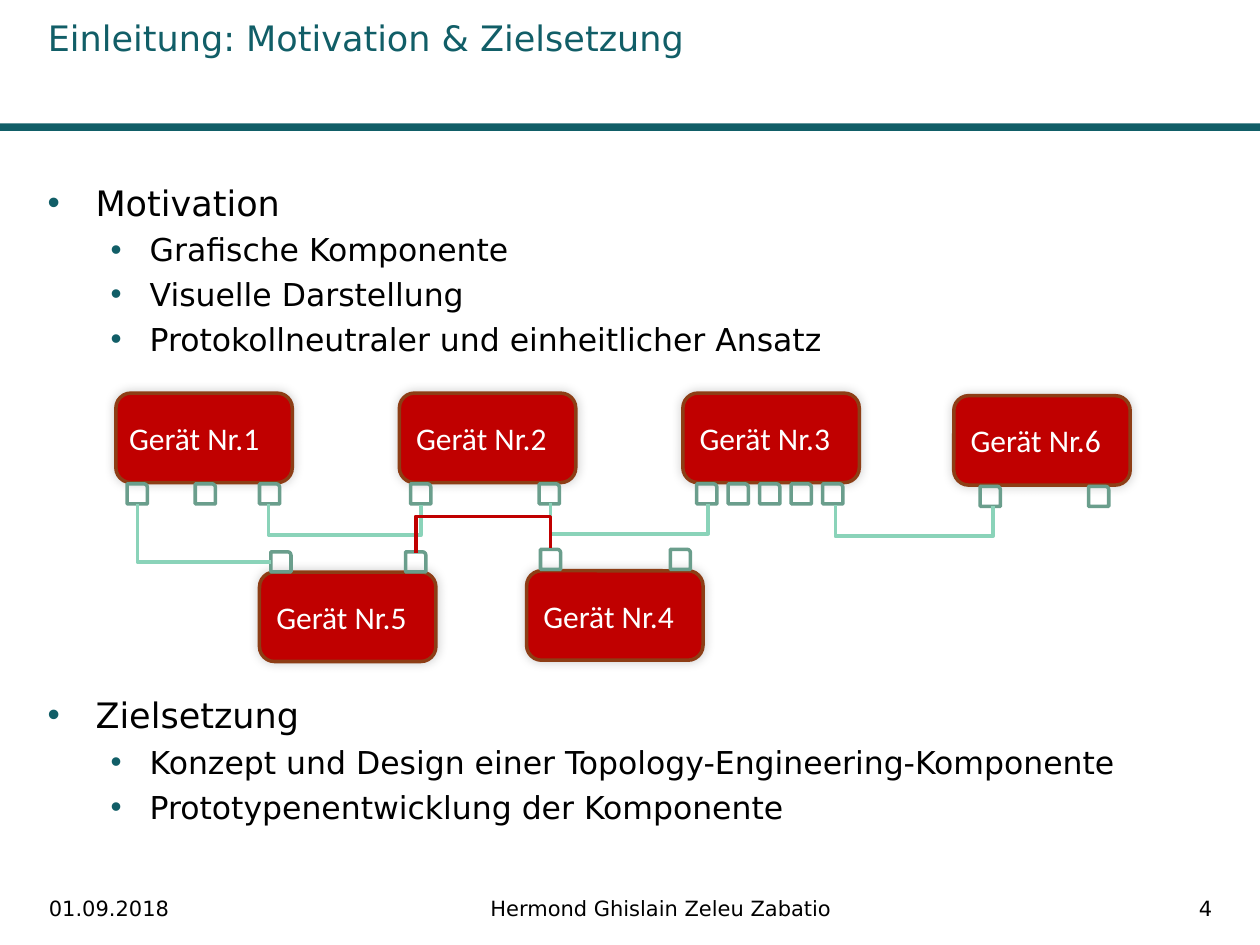
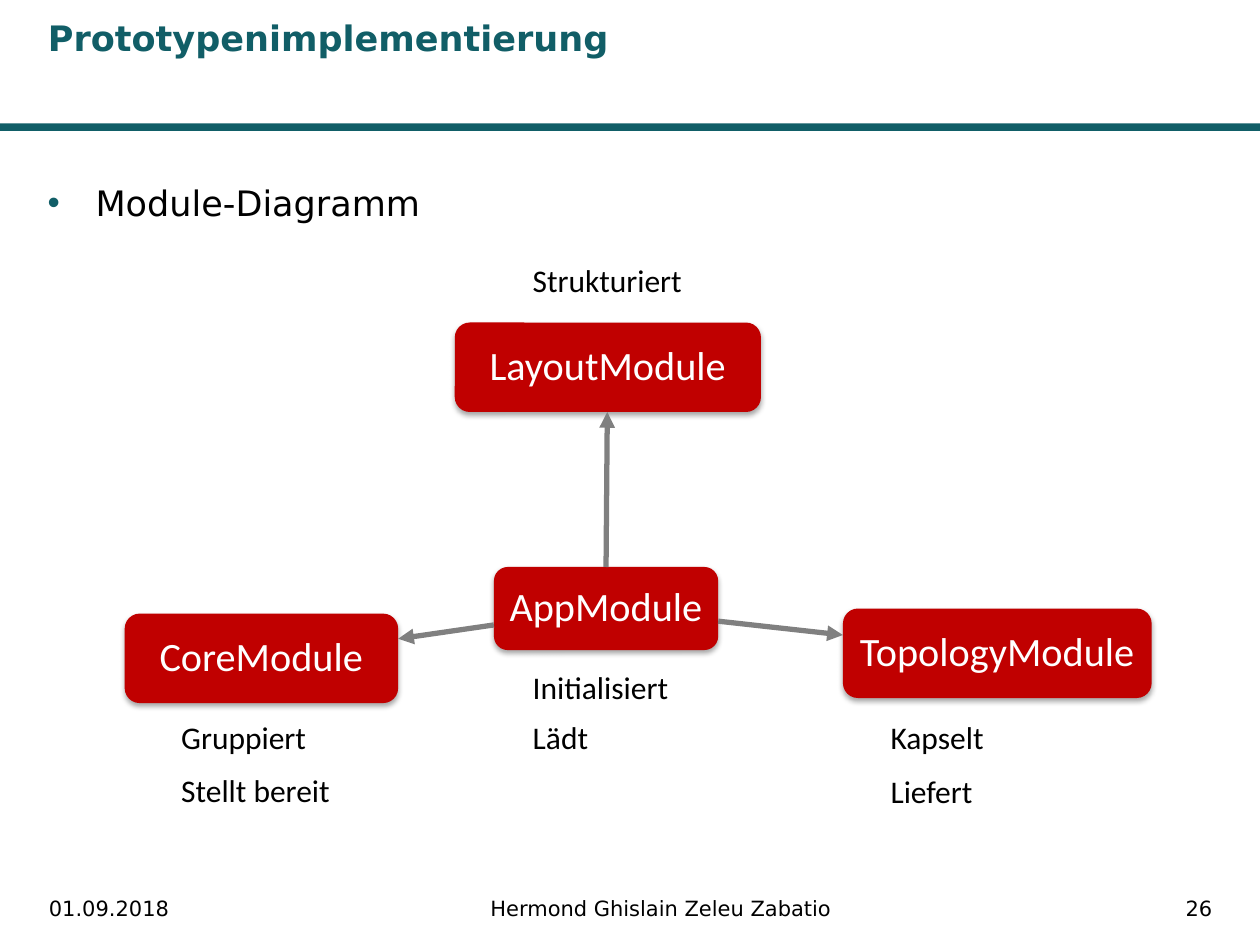
import pptx
import pptx.util
import pptx.dml.color
import pptx.enum.shapes
import pptx.enum.text
import pptx.oxml
import pptx.oxml.ns

Inches, Pt = pptx.util.Inches, pptx.util.Pt
SHAPE = pptx.enum.shapes.MSO_SHAPE
CONN = pptx.enum.shapes.MSO_CONNECTOR
ALIGN = pptx.enum.text.PP_ALIGN
ANCHOR = pptx.enum.text.MSO_ANCHOR
qn = pptx.oxml.ns.qn

# ---- Content and shared style ----
W, H = 10, 7.5
C = {"teal": "115E67", "red": "C00000", "brown": "8D3D15", "port": "6A9E8C",
     "mint": "8AD3B9", "gray": "808080", "black": "000000", "white": "FFFFFF"}
HEAD, BODY = "DejaVu Sans", "Calibri"
DATE, AUTHOR = "01.09.2018", "Hermond Ghislain Zeleu Zabatio"

# Bullets: level, text, space before in points
LEVELS = [dict(size=20, left=0.38, hang=0.38), dict(size=18, left=0.81, hang=0.31)]
GOALS = [
    (0, "Motivation", 4),
    (1, "Grafische Komponente", 4),
    (1, "Visuelle Darstellung", 4),
    (1, "Protokollneutraler und einheitlicher Ansatz", 4),
    (0, "Zielsetzung", 192),  # leaves room for the device diagram
    (1, "Konzept und Design einer Topology-Engineering-Komponente", 4),
    (1, "Prototypenentwicklung der Komponente", 4),
]

# Devices: label, left, top, text inset, port top, port lefts
DEV_W, DEV_H, PORT = 1.4, 0.71, 0.16
COL, STEP, ROW = 0.92, 2.25, 3.12
DEVICES = [
    ("Gerät Nr.1", COL, ROW, 0.07, 3.84, [1.01, 1.55, 2.06]),
    ("Gerät Nr.2", COL + STEP, ROW, 0.1, 3.84, [3.26, 4.28]),
    ("Gerät Nr.3", COL + 2 * STEP, ROW, 0.1, 3.84, [5.53 + 0.25 * i for i in range(5)]),
    ("Gerät Nr.4", 4.18, 4.53, 0.1, 4.36, [4.29, 5.32]),
    ("Gerät Nr.5", 2.06, 4.54, 0.1, 4.38, [2.15, 3.22]),
    ("Gerät Nr.6", 7.57, 3.14, 0.1, 3.86, [7.78, 8.64]),
]
# Cables: start, end, height of the turn (None: one corner only), colour
CABLES = [
    ((2.13, 4), (3.34, 4.01), 4.25, "mint"),
    ((1.09, 4), (2.15, 4.46), None, "mint"),
    ((4.37, 3.99), (5.62, 4), 4.24, "mint"),
    ((3.3, 4.39), (4.37, 4.35), 4.1, "red"),
    ((6.63, 4.01), (7.88, 4.02), 4.26, "mint"),
]

# Modules: label, left, top, width, height
MODULES = [
    ("AppModule", 3.92, 4.5, 1.78, 0.66),
    ("LayoutModule", 3.61, 2.56, 2.43, 0.71),
    ("TopologyModule", 6.69, 4.83, 2.45, 0.71),
    ("CoreModule", 0.99, 4.87, 2.17, 0.71),
]
ARROWS = [((4.81, 4.5), (4.82, 3.27)), ((5.7, 4.93), (6.69, 5.04)),
          ((3.92, 4.96), (3.16, 5.07))]
# Notes: left, then (text, top)
NOTES = [
    (1.34, [("Gruppiert", 5.65), ("Stellt bereit", 6.07)]),
    (4.13, [("Strukturiert", 2.02), ("Initialisiert", 5.25), ("Lädt", 5.65)]),
    (6.97, [("Kapselt", 5.65), ("Liefert", 6.08)]),
]


# ---- Helpers ----
def rgb(name):
    return pptx.dml.color.RGBColor.from_string(C[name])


def xml(text):
    ns = 'xmlns:a="http://schemas.openxmlformats.org/drawingml/2006/main"'
    return pptx.oxml.parse_xml(text.replace(">", f" {ns}>", 1))


def write(tf, text, size=18, font=BODY, color="black", bold=False, align=ALIGN.LEFT,
          anchor=ANCHOR.TOP, inset=None, add=False):
    """Write one paragraph into a text frame and return it."""
    tf.word_wrap = True
    tf.auto_size = pptx.enum.text.MSO_AUTO_SIZE.NONE
    tf.vertical_anchor = anchor
    if inset is not None:
        tf.margin_left = Inches(inset)
    p = tf.add_paragraph() if add else tf.paragraphs[0]
    p.alignment = align
    r = p.add_run()
    r.text = text
    f = r.font
    f.size, f.name, f.bold = Pt(size), font, bold
    f.color.rgb = rgb(color)
    return p


def textbox(s, x, y, w, h, text, **fmt):
    tf = s.shapes.add_textbox(*map(Inches, (x, y, w, h))).text_frame
    write(tf, text, **fmt)


def block(s, kind, x, y, w, h, fill=None, line=None, shadow=None):
    sp = s.shapes.add_shape(kind, *map(Inches, (x, y, w, h)))
    sp.shadow.inherit = False
    if fill:
        sp.fill.solid()
        sp.fill.fore_color.rgb = rgb(fill)
    else:
        sp.fill.background()
    if line:
        sp.line.color.rgb = rgb(line)
        sp.line.width = Pt(2)
    else:
        sp.line.fill.background()
    if shadow:
        alpha, blur, dist, angle = shadow
        sp._element.spPr.find(qn("a:effectLst")).append(xml(
            f'<a:outerShdw blurRad="{Pt(blur)}" dist="{Pt(dist)}" dir="{angle * 60000}" '
            f'rotWithShape="0"><a:srgbClr val="{C["black"]}"><a:alpha val="{alpha * 1000}"/>'
            '</a:srgbClr></a:outerShdw>'))
    return sp


def connect(s, kind, start, end, color, width):
    cn = s.shapes.add_connector(kind, *map(Inches, (*start, *end)))
    cn.line.color.rgb = rgb(color)
    cn.line.width = Pt(width)
    cn._element.spPr.append(xml("<a:effectLst></a:effectLst>"))
    return cn


def cable(s, start, end, turn, color):
    """Elbow that leaves vertically, runs across and reaches its end."""
    (x1, y1), (x2, y2) = start, end
    across, rise = x2 - x1, abs(y2 - y1)
    mx, my = (x1 + x2) / 2, (y1 + y2) / 2
    # The box lies on its side: its width is the vertical distance
    left, top = mx - rise / 2, my - across / 2
    cn = connect(s, CONN.ELBOW, (left, top), (left + rise, top + across), color, 2)
    xfrm = cn._element.spPr.find(qn("a:xfrm"))
    down = y2 > y1
    xfrm.set("rot", str((270 if down else 90) * 60000))
    xfrm.set("flipH", "1")
    if not down:
        xfrm.set("flipV", "1")
    geom = cn._element.spPr.find(qn("a:prstGeom"))
    if turn is None:
        geom.set("prst", "bentConnector2")
    else:
        adj = round(abs(turn - y1) / rise * 100000)
        for av in geom.findall(qn("a:avLst")):
            geom.remove(av)
        geom.append(xml(f'<a:avLst><a:gd name="adj1" fmla="val {adj}"/></a:avLst>'))


def bullets(s, items):
    tf = s.shapes.add_textbox(*map(Inches, (0.28, 1.39, 9.45, 5.51))).text_frame
    for i, (level, text, before) in enumerate(items):
        style = LEVELS[level]
        p = write(tf, text, size=style["size"], font=HEAD, add=i > 0)
        p.level = level
        p.space_before = Pt(before)
        pPr = p._p.get_or_add_pPr()
        pPr.set("marL", str(Inches(style["left"])))
        pPr.set("indent", str(-Inches(style["hang"])))
        pPr.append(xml(f'<a:buClr><a:srgbClr val="{C["teal"]}"/></a:buClr>'))
        pPr.append(xml('<a:buFont typeface="Arial"></a:buFont>'))
        pPr.append(xml('<a:buChar char="•"></a:buChar>'))


def new_slide(title, number, bold=False):
    """Slide with title, band and footer."""
    s = prs.slides.add_slide(prs.slide_layouts[5])
    block(s, SHAPE.RECTANGLE, 0, 0.98, W, 0.06, fill="teal")
    t = s.shapes.title
    t.left, t.top, t.width, t.height = map(Inches, (0.28, 0.08, 5.98, 0.79))
    write(t.text_frame, title, size=20, font=HEAD, color="teal", bold=bold)
    for x, w, text, align in ((0.29, 2.03, DATE, ALIGN.LEFT),
                              (2.54, 5.41, AUTHOR, ALIGN.CENTER),
                              (8.15, 1.57, str(number), ALIGN.RIGHT)):
        textbox(s, x, 7.06, w, 0.31, text, size=12, font=HEAD, align=align)
    return s


prs = pptx.Presentation()
prs.slide_width, prs.slide_height = Inches(W), Inches(H)

# ---- Motivation and goals: devices joined by cables ----
s = new_slide("Einleitung: Motivation & Zielsetzung", 4)
bullets(s, GOALS)
for label, x, y, inset, port_top, ports in DEVICES:
    sp = block(s, SHAPE.ROUNDED_RECTANGLE, x, y, DEV_W, DEV_H, "red", "brown",
               shadow=(20, 6, 0, 225))
    write(sp.text_frame, label, color="white", anchor=ANCHOR.MIDDLE, inset=inset)
    for px in ports:
        block(s, SHAPE.ROUND_1_RECTANGLE, px, port_top, PORT, PORT, line="port")
for route in CABLES:
    cable(s, *route)

# ---- Module diagram ----
s = new_slide("Prototypenimplementierung", 26, bold=True)
bullets(s, [(0, "Module-Diagramm", 4)])
for label, *box in MODULES:
    sp = block(s, SHAPE.ROUNDED_RECTANGLE, *box, fill="red", shadow=(35, 3.1, 1.8, 90))
    tf = sp.text_frame
    tf.margin_right = tf.margin_top = tf.margin_bottom = Inches(0.06)
    p = write(tf, label, size=23, color="white", align=ALIGN.CENTER,
              anchor=ANCHOR.MIDDLE, inset=0.06)
    p.line_spacing = 0.9
for start, end in ARROWS:
    cn = connect(s, CONN.STRAIGHT, start, end, "gray", 3)
    cn.line._get_or_add_ln().append(xml('<a:tailEnd type="triangle"></a:tailEnd>'))
for x, notes in NOTES:
    for text, y in notes:
        textbox(s, x, y, 1.73, 0.4, text)

prs.save("out.pptx")
